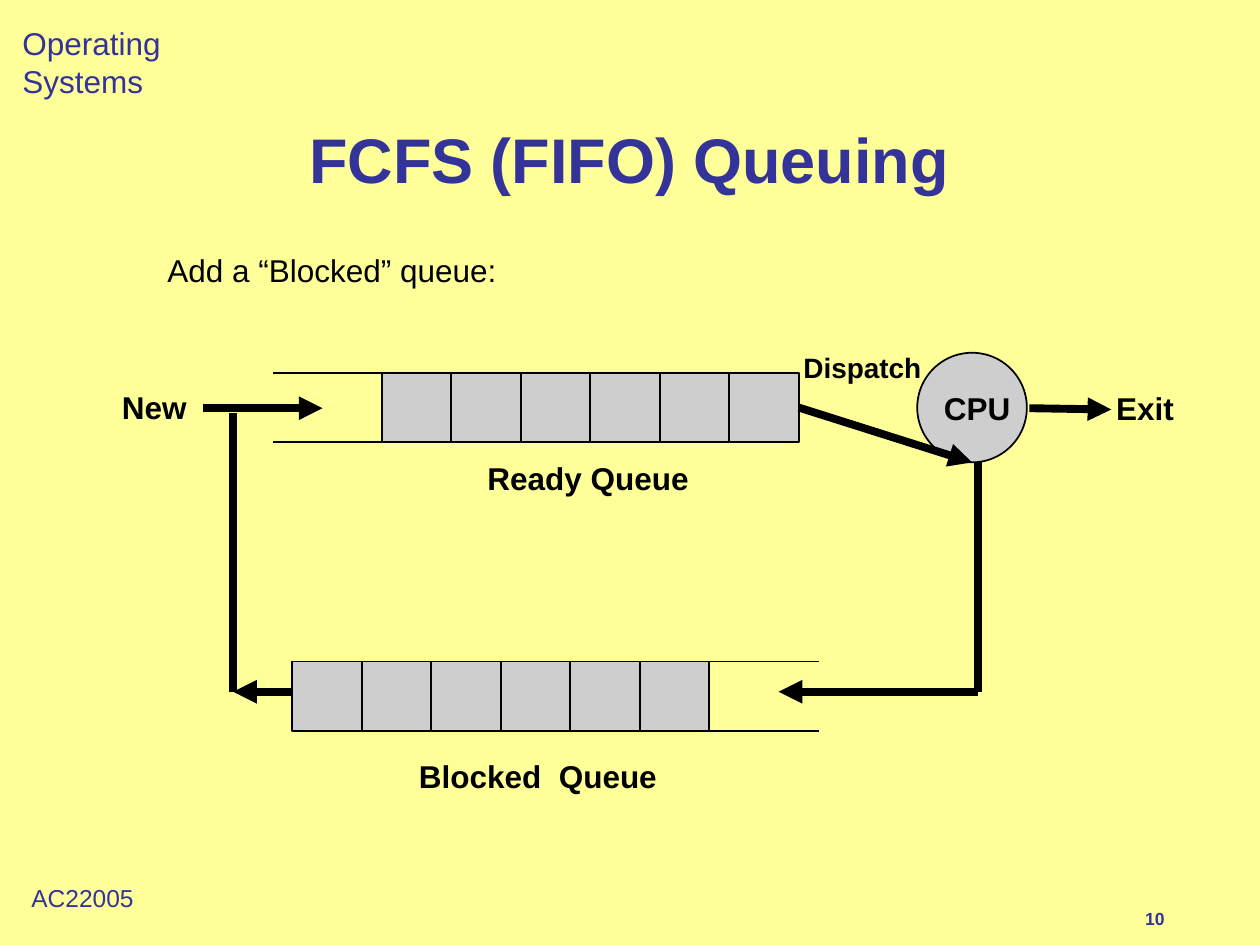
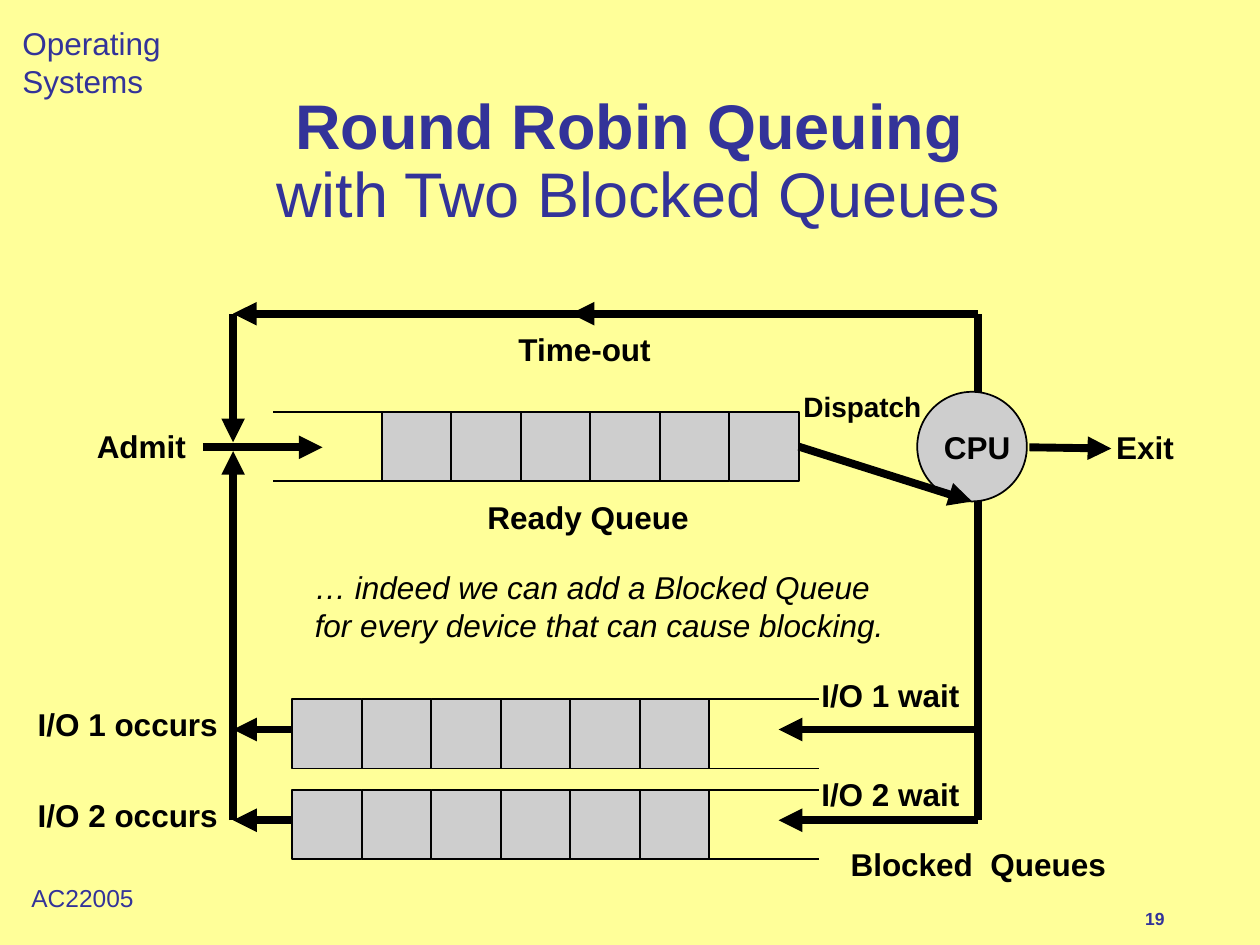
from lxml import etree
from pptx import Presentation
from pptx.dml.color import RGBColor
from pptx.enum.shapes import MSO_CONNECTOR, MSO_SHAPE
from pptx.enum.text import MSO_ANCHOR, MSO_AUTO_SIZE, PP_ALIGN
from pptx.oxml.ns import qn
from pptx.util import Inches, Pt

STRAIGHT = MSO_CONNECTOR.STRAIGHT
RECTANGLE, OVAL = MSO_SHAPE.RECTANGLE, MSO_SHAPE.OVAL
LEFT, CENTER = PP_ALIGN.LEFT, PP_ALIGN.CENTER
MIDDLE, NO_AUTOFIT = MSO_ANCHOR.MIDDLE, MSO_AUTO_SIZE.NONE

COLORS = {"background": "FFFF99", "heading": "333399", "ink": "000000", "cell": "CECECE"}
FONT = "Arial"
TITLE_ONLY = 5
CELL = 0.55
CELL_PITCH = 0.552
CELL_COUNT = 6
CPU_SIZE = 0.87
THIN, THICK = 1, 4.5
RETURN_X, CPU_LINE_X = 1.85, 7.76
QUEUE_LEFT, BLOCKED_LEFT = 2.17, 2.32
BLOCKED_MIDDLE = 0.24
OVAL_LEFT, RECTANGLE_RIGHT = 2, 3


def color(name):
    return RGBColor.from_string(COLORS[name])


def style_font(font, size, color_name, bold=None, italic=None):
    font.name = FONT
    font.size = Pt(size)
    font.bold = bold
    font.italic = italic
    font.color.rgb = color(color_name)


def add_text(slide, text, box, size=18, color_name="ink", bold=True, italic=False,
             align=LEFT, wrap=True):
    shape = slide.shapes.add_textbox(*map(Inches, box))
    shape.text_frame.word_wrap = wrap
    paragraph = shape.text_frame.paragraphs[0]
    paragraph.text = text
    paragraph.alignment = align
    style_font(paragraph.font, size, color_name, bold, italic)


def add_block(slide, kind, left, top, size):
    shape = slide.shapes.add_shape(kind, Inches(left), Inches(top), Inches(size), Inches(size))
    shape.shadow.inherit = False
    shape.fill.solid()
    shape.fill.fore_color.rgb = color("cell")
    shape.line.color.rgb = color("ink")
    shape.line.width = Pt(THIN)
    return shape


def add_line(slide, start, end, width=THICK, arrow=False):
    connector = slide.shapes.add_connector(STRAIGHT, *map(Inches, (*start, *end)))
    connector.line.color.rgb = color("ink")
    connector.line.width = Pt(width)
    properties = connector.element.spPr
    if arrow:
        outline = properties.find(qn("a:ln"))
        etree.SubElement(outline, qn("a:tailEnd"), type="triangle")
    etree.SubElement(properties, qn("a:effectLst"))
    return connector


def add_cells(slide, left, top):
    return [add_block(slide, RECTANGLE, left + index * CELL_PITCH, top, CELL)
            for index in range(CELL_COUNT)]


def add_rails(slide, left, right, top):
    for y in (top, top + CELL):
        add_line(slide, (left, y), (right, y), THIN)


def add_ready_row(slide, left, top, entry_label, entry_left):
    middle = top + 0.28
    label_top = top + 0.08
    cpu_left = left + 5.11
    cells = add_cells(slide, left + 0.86, top)
    add_rails(slide, left, left + 2.52, top)
    add_line(slide, (left - 0.56, middle), (left + 0.39, middle), arrow=True)
    cpu = add_block(slide, OVAL, cpu_left, top - 0.16, CPU_SIZE)
    dispatch = add_line(slide, (left + 4.17, middle), (cpu_left, middle), arrow=True)
    dispatch.begin_connect(cells[-1], RECTANGLE_RIGHT)
    dispatch.end_connect(cpu, OVAL_LEFT)
    add_line(slide, (left + 6, middle), (left + 6.65, middle + 0.01), arrow=True)
    add_text(slide, "CPU", (left + 5.19, label_top, 0.79, 0.4), align=CENTER)
    add_text(slide, "Exit", (left + 6.59, label_top, 0.67, 0.4))
    add_text(slide, entry_label, (entry_left, label_top - 0.01, left - 0.54 - entry_left, 0.4))
    add_text(slide, "Ready Queue", (left + 1.6, top + 0.635, 1.8, 0.4))
    add_text(slide, "Dispatch", (left + 4.01, top - 0.225, 1.33, 0.37), size=16, align=CENTER)


def add_blocked_row(slide, left, top):
    middle = top + BLOCKED_MIDDLE
    add_cells(slide, left, top)
    add_rails(slide, left + 1.66, left + 4.18, top)
    add_line(slide, (CPU_LINE_X, middle), (left + 3.86, middle), arrow=True)
    add_line(slide, (left, middle), (RETURN_X, middle), arrow=True)


def add_timeout_loop(slide, top):
    add_line(slide, (CPU_LINE_X, top + 0.63), (CPU_LINE_X, top))
    add_line(slide, (CPU_LINE_X, top), (4.53, top), arrow=True)
    add_line(slide, (4.61, top), (RETURN_X, top), arrow=True)
    add_line(slide, (RETURN_X, top), (RETURN_X, top + 1.02), arrow=True)
    add_text(slide, "Time-out", (3.74, top + 0.08, 1.8, 0.4), align=CENTER)


def add_page(presentation, number, title_runs):
    slide = presentation.slides.add_slide(presentation.slide_layouts[TITLE_ONLY])
    for text, box, size, bold in (
        ("Operating Systems", (0.08, 0.14, 2.32, 0.4), 18, False),
        (str(number), (8.99, 7.16, 0.87, 0.26), 10, True),
        ("AC22005", (0.15, 6.96, 1.01, 0.33), 14, False),
    ):
        add_text(slide, text, box, size, "heading", bold, wrap=False)
    title = slide.shapes.title
    title.left, title.top, title.width, title.height = map(Inches, (1.08, 0.67, 7.83, 1.25))
    frame = title.text_frame
    frame.auto_size = NO_AUTOFIT
    frame.vertical_anchor = MIDDLE
    paragraph = frame.paragraphs[0]
    paragraph.alignment = CENTER
    paragraph.line_spacing = 0.9
    style_font(paragraph.font, 36, "heading")
    for index, (text, bold) in enumerate(title_runs):
        if index:
            paragraph.add_line_break()
        run = paragraph.add_run()
        run.text = text
        run.font.bold = bold
    return slide


def build_fcfs_slide(presentation):
    slide = add_page(presentation, 10, [("FCFS (FIFO) Queuing", True)])
    ready_top, blocked_top = 2.96, 5.25
    middle = blocked_top + BLOCKED_MIDDLE
    add_line(slide, (CPU_LINE_X, ready_top + 0.71), (CPU_LINE_X, middle))
    add_line(slide, (RETURN_X, ready_top + 0.32), (RETURN_X, middle))
    add_ready_row(slide, QUEUE_LEFT, ready_top, "New", 0.87)
    add_blocked_row(slide, BLOCKED_LEFT, blocked_top)
    add_text(slide, "Blocked  Queue", (3.19, 5.96, 2.16, 0.4), align=CENTER)
    add_text(slide, "Add a “Blocked” queue:", (1.23, 1.94, 2.88, 0.4), bold=False, wrap=False)


def build_round_robin_slide(presentation):
    slide = add_page(presentation, 19, [("Round Robin Queuing", True),
                                        (" with Two Blocked Queues", False)])
    ready_top, blocked_tops = 3.27, (5.55, 6.27)
    middle = blocked_tops[-1] + BLOCKED_MIDDLE
    add_timeout_loop(slide, 2.49)
    add_line(slide, (CPU_LINE_X, ready_top + 0.71), (CPU_LINE_X, middle))
    add_line(slide, (RETURN_X, middle), (RETURN_X, ready_top + 0.31), arrow=True)
    add_ready_row(slide, QUEUE_LEFT, ready_top, "Admit", 0.67)
    for device, (top, wait_top) in enumerate(zip(blocked_tops, (5.32, 6.1)), start=1):
        add_blocked_row(slide, BLOCKED_LEFT, top)
        add_text(slide, f"I/O {device} wait", (6.42, wait_top, 1.34, 0.4))
        add_text(slide, f"I/O {device} occurs", (0.2, top, 1.65, 0.4))
    add_text(slide, "Blocked  Queues", (6.65, 6.66, 2.23, 0.4), align=CENTER)
    add_text(slide, "… indeed we can add a Blocked Queue for every device that can cause blocking.",
             (2.4, 4.46, 4.73, 0.7), bold=False, italic=True)


def main():
    presentation = Presentation()
    presentation.slide_width, presentation.slide_height = Inches(10), Inches(7.5)
    background = presentation.slide_master.background.fill
    background.solid()
    background.fore_color.rgb = color("background")
    build_fcfs_slide(presentation)
    build_round_robin_slide(presentation)
    presentation.save("out.pptx")


if __name__ == "__main__":
    main()
